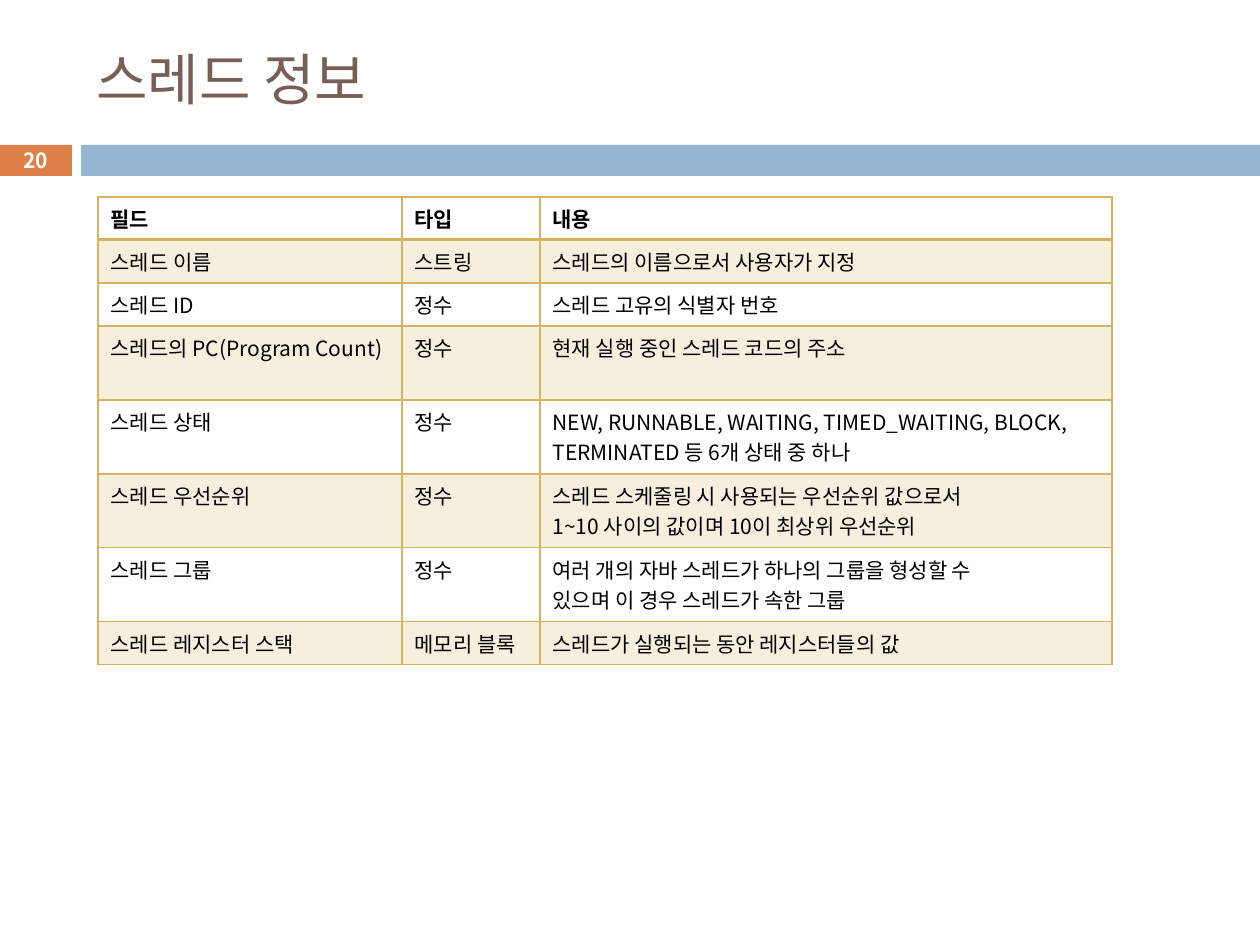
from dataclasses import dataclass
from lxml.etree import SubElement
from pptx import Presentation
from pptx.dml.color import RGBColor
from pptx.enum.shapes import MSO_SHAPE
from pptx.enum.text import MSO_ANCHOR, PP_ALIGN
from pptx.oxml import parse_xml
from pptx.oxml.ns import nsdecls, qn
from pptx.util import Pt

PX = 914400 // 126


@dataclass(frozen=True)
class Theme:
    """Colours, type sizes and font of the slide."""
    font: str = "Noto Sans CJK KR"
    title: str = "775F55"
    badge: str = "DD8047"
    bar: str = "94B6D2"
    gold: str = "D8B25C"
    ink: str = "000000"
    white: str = "FFFFFF"
    large: float = 32
    small: float = 12


THEME = Theme()
COLS = (304, 138, 572)
ROWS = (
    ("필드", "타입", "내용"),
    ("스레드 이름", "스트링", "스레드의 이름으로서 사용자가 지정"),
    ("스레드 ID", "정수", "스레드 고유의 식별자 번호"),
    ("스레드의 PC(Program Count)", "정수", "현재 실행 중인 스레드 코드의 주소"),
    ("스레드 상태", "정수",
     "NEW, RUNNABLE, WAITING, TIMED_WAITING, BLOCK,\nTERMINATED 등 6개 상태 중 하나"),
    ("스레드 우선순위", "정수",
     "스레드 스케줄링 시 사용되는 우선순위 값으로서\n1~10 사이의 값이며 10이 최상위 우선순위"),
    ("스레드 그룹", "정수",
     "여러 개의 자바 스레드가 하나의 그룹을 형성할 수\n있으며 이 경우 스레드가 속한 그룹"),
    ("스레드 레지스터 스택", "메모리 블록", "스레드가 실행되는 동안 레지스터들의 값"),
)
HEIGHTS = (43, 43, 43, 74, 74, 74, 74, 43)


def scale(box):
    """Turn a pixel box into EMU."""
    return [n * PX for n in box]


def write(frame, text, size, color, bold=False, align=PP_ALIGN.LEFT):
    """Fill a text frame with evenly styled paragraphs."""
    frame.text = text
    frame.word_wrap = True
    for para in frame.paragraphs:
        para.alignment = align
        font = para.font
        font.size, font.bold = Pt(size), bold
        font.color.rgb = RGBColor.from_string(color)
        font.name = THEME.font
        props = para._p.pPr.find(qn("a:defRPr"))
        SubElement(props, qn("a:ea"), typeface=THEME.font)


def add_title(slide, box, text):
    """Place the slide title."""
    frame = slide.shapes.add_textbox(*scale(box)).text_frame
    write(frame, text, THEME.large, THEME.title)
    frame.vertical_anchor = MSO_ANCHOR.MIDDLE


def add_block(slide, box, color):
    """Place a flat rectangle and return it."""
    block = slide.shapes.add_shape(MSO_SHAPE.RECTANGLE, *scale(box))
    block.shadow.inherit = False
    block.fill.solid()
    block.fill.fore_color.rgb = RGBColor.from_string(color)
    block.line.fill.background()
    return block


def add_band(slide, box, number):
    """Place the page number badge and the bar beside it."""
    left, top, width, height = box
    badge, gap = 73, 9
    start = badge + gap
    add_block(slide, (left + start, top, width - start, height), THEME.bar)
    frame = add_block(slide, (left, top, badge, height), THEME.badge).text_frame
    frame.margin_top = frame.margin_bottom = 0
    write(frame, number, THEME.small, THEME.white, True, PP_ALIGN.CENTER)
    frame.vertical_anchor = MSO_ANCHOR.MIDDLE


def add_edges(cell, base):
    """Draw the four borders of a cell."""
    props = cell._tc.get_or_add_tcPr()
    for spot, side in enumerate("LRTB"):
        width = Pt(base if side == "B" else 1)
        props.insert(spot, parse_xml(
            f'<a:ln{side} {nsdecls("a")} w="{width}"><a:solidFill>'
            f'<a:srgbClr val="{THEME.gold}"/></a:solidFill></a:ln{side}>'))


def paint(cell, tinted):
    """Give a cell a pale tint or no fill."""
    if not tinted:
        cell.fill.background()
        return
    cell.fill.solid()
    cell.fill.fore_color.rgb = RGBColor.from_string(THEME.gold)
    tone = cell._tc.tcPr.find(".//" + qn("a:srgbClr"))
    SubElement(tone, qn("a:alpha"), val="20000")


def add_grid(slide, box):
    """Place the table of thread fields."""
    table = slide.shapes.add_table(len(ROWS), len(COLS), *scale(box)).table
    table.horz_banding = False
    for col, width in zip(table.columns, COLS):
        col.width = width * PX
    for row, height in zip(table.rows, HEIGHTS):
        row.height = height * PX
    for i, texts in enumerate(ROWS):
        for j, text in enumerate(texts):
            cell = table.cell(i, j)
            write(cell.text_frame, text, THEME.small, THEME.ink, i == 0)
            paint(cell, i % 2 == 1)
            add_edges(cell, 2 if i == 0 else 1)


def build():
    """Build and save the slide."""
    deck = Presentation()
    deck.slide_width, deck.slide_height = scale((1260, 945))
    slide = deck.slides.add_slide(deck.slide_layouts[6])
    add_band(slide, (-1, 145, 1261, 31), "20")
    add_title(slide, (84, 32, 1124, 93), "스레드 정보")
    add_grid(slide, (98, 197, sum(COLS), sum(HEIGHTS)))
    deck.save("out.pptx")


build()
